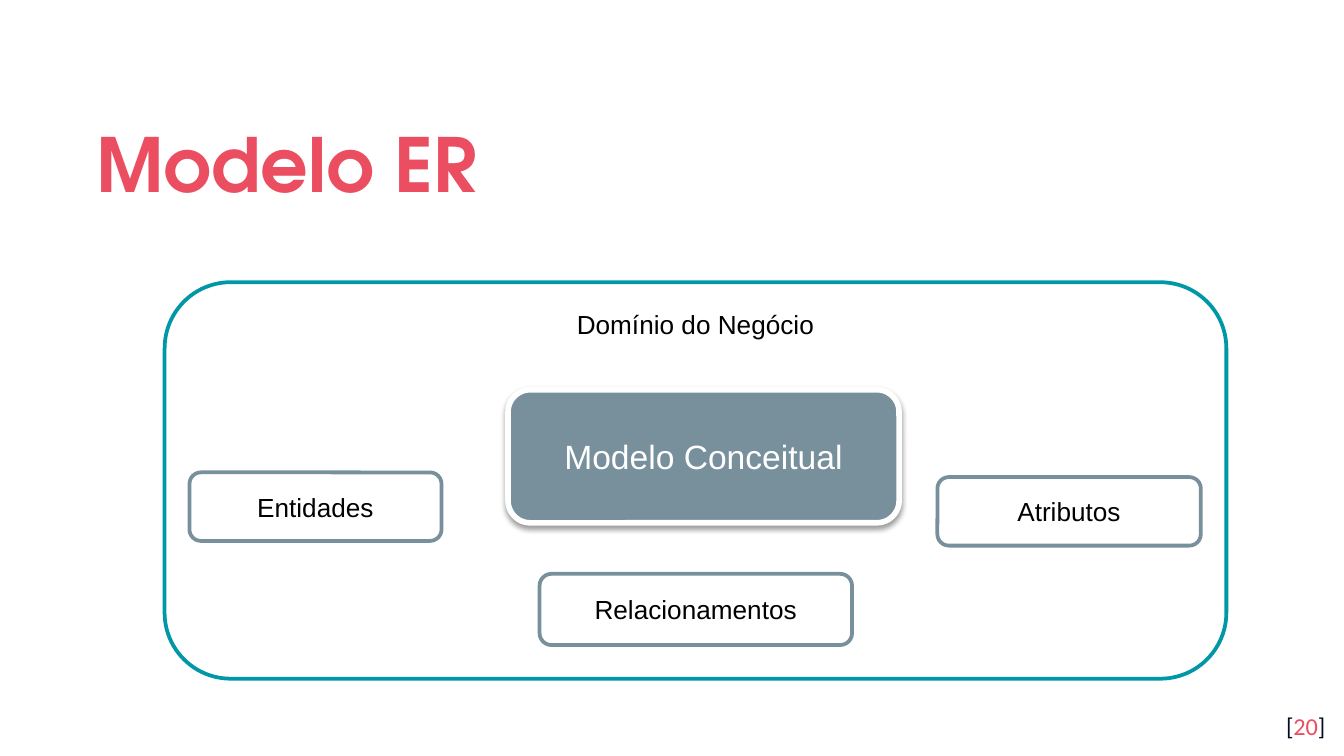
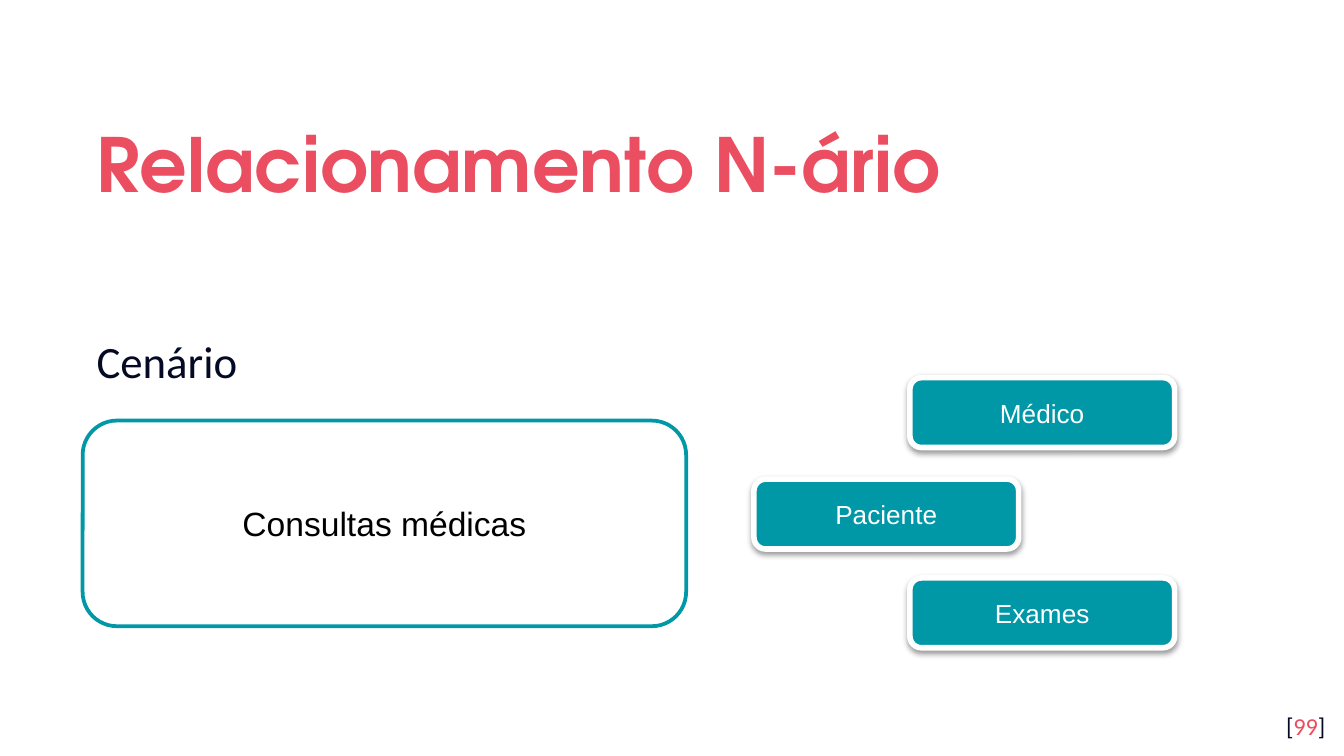
from dataclasses import dataclass

from lxml import etree
from pptx import Presentation
from pptx.dml.color import RGBColor
from pptx.enum.shapes import MSO_SHAPE
from pptx.enum.text import MSO_ANCHOR, PP_ALIGN
from pptx.oxml.ns import nsdecls
from pptx.util import Pt

PX = 4572  # 200 px to the inch
ROUNDED = MSO_SHAPE.ROUNDED_RECTANGLE
TOP, MIDDLE = MSO_ANCHOR.TOP, MSO_ANCHOR.MIDDLE
LEFT, CENTER, RIGHT = PP_ALIGN.LEFT, PP_ALIGN.CENTER, PP_ALIGN.RIGHT


@dataclass(frozen=True)
class Theme:
    white: str = "FFFFFF"
    black: str = "000000"
    navy: str = "040A24"
    coral: str = "EA4E60"
    teal: str = "0097A7"
    slate: str = "78909C"
    title_font: str = "TeX Gyre Adventor"
    body_font: str = "Calibri"
    box_font: str = "Arial"
    title_size: int = 40
    heading_size: int = 24
    large_size: int = 18
    small_size: int = 14
    number_size: int = 13


THEME = Theme()
SHADOW = f"""<a:effectLst {nsdecls("a")}>
  <a:outerShdw blurRad="39370" dist="20320" dir="5400000" rotWithShape="0">
    <a:srgbClr val="{THEME.black}"><a:alpha val="38000"/></a:srgbClr>
  </a:outerShdw>
</a:effectLst>"""


def write(shape, spans, font, size, align=LEFT, anchor=MIDDLE, inset=(20, 20),
          spacing=None, bold=False):
    """Fill a shape with one paragraph of (text, colour) spans; inset is (sides, top)."""
    frame = shape.text_frame
    frame.word_wrap = True
    frame.vertical_anchor = anchor
    side, top = inset
    frame.margin_left = frame.margin_right = side * PX
    frame.margin_top = top * PX
    frame.margin_bottom = min(side, top) * PX
    para = frame.paragraphs[0]
    para.alignment = align
    para.line_spacing = spacing
    para.font.name, para.font.size, para.font.bold = font, Pt(size), bold
    for text, color in spans:
        span = para.add_run()
        span.text = text
        span.font.color.rgb = RGBColor.from_string(color)


def add_box(page, place, text, line, fill=THEME.white, size=THEME.small_size,
            anchor=MIDDLE):
    """Add a rounded box; a coloured fill gets a thick line, white text and a shadow."""
    box = page.shapes.add_shape(ROUNDED, *(n * PX for n in place))
    solid = fill != THEME.white
    box.shadow.inherit = False
    box.fill.solid()
    box.fill.fore_color.rgb = RGBColor.from_string(fill)
    box.line.color.rgb = RGBColor.from_string(line)
    box.line.width = Pt(3 if solid else 2)
    if solid:
        properties = box._element.spPr
        properties.remove(properties.find("{*}effectLst"))
        properties.append(etree.fromstring(SHADOW))
    color = THEME.white if solid else THEME.black
    write(box, [(text, color)], THEME.box_font, size, CENTER, anchor, (20, 10))


deck = Presentation()
deck.slide_width, deck.slide_height = 2000 * PX, 1125 * PX

pages = []
for title, number in (("Modelo ER", "20"), ("Relacionamento N-ário", "99")):
    page = deck.slides.add_slide(deck.slide_layouts[6])
    pages.append(page)
    title_box = page.shapes.add_textbox(124 * PX, 140 * PX, 1754 * PX, 184 * PX)
    write(title_box, [(title, THEME.coral)], THEME.title_font, THEME.title_size,
          spacing=1.15, bold=True)
    number_box = page.shapes.add_textbox(1872 * PX, 1038 * PX, 120 * PX, 86 * PX)
    write(number_box,
          [("[", THEME.navy), (number, THEME.coral), ("]", THEME.navy)],
          THEME.body_font, THEME.number_size, RIGHT, TOP)
model_page, scenario_page = pages

# Conceptual model inside its business domain
add_box(model_page, (245, 420, 1580, 590), "Domínio do Negócio", THEME.teal,
        anchor=TOP)
add_box(model_page, (756, 580, 582, 198), "Modelo Conceitual", THEME.white,
        THEME.slate, THEME.large_size)
for text, place in (
    ("Atributos", (1395, 710, 392, 102)),
    ("Entidades", (282, 703, 375, 102)),
    ("Relacionamentos", (803, 854, 465, 106)),
):
    add_box(model_page, place, text, THEME.slate)

# Scenario and the entities that take part in it
heading = scenario_page.shapes.add_textbox(124 * PX, 324 * PX, 1746 * PX, 682 * PX)
write(heading, [("Cenário", THEME.navy)], THEME.body_font, THEME.heading_size,
      anchor=TOP, inset=(20, 248), spacing=1.15)
add_box(scenario_page, (123, 626, 898, 306), "Consultas médicas", THEME.teal,
        size=THEME.large_size)
for text, left, top in (("Médico", 1354, 562), ("Exames", 1354, 860), ("Paciente", 1122, 713)):
    add_box(scenario_page, (left, top, 394, 104), text, THEME.white, THEME.teal)

deck.save("out.pptx")
